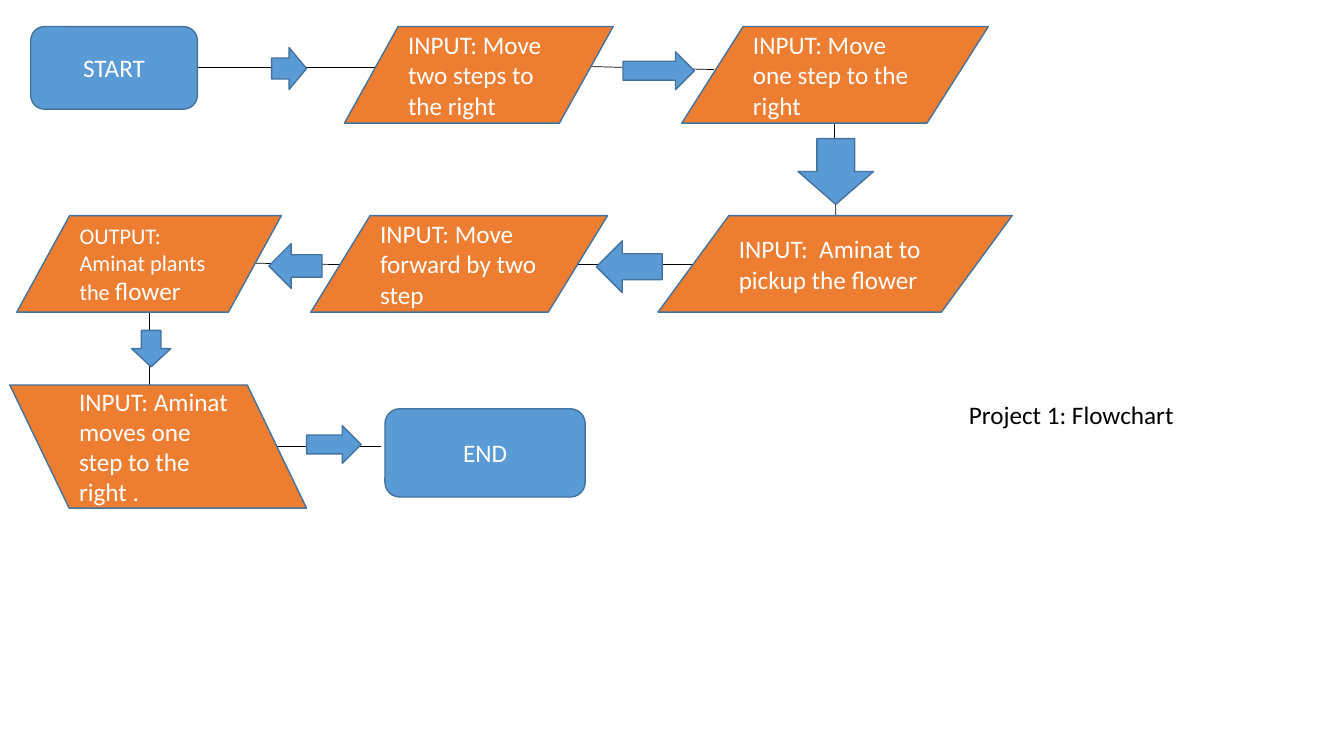
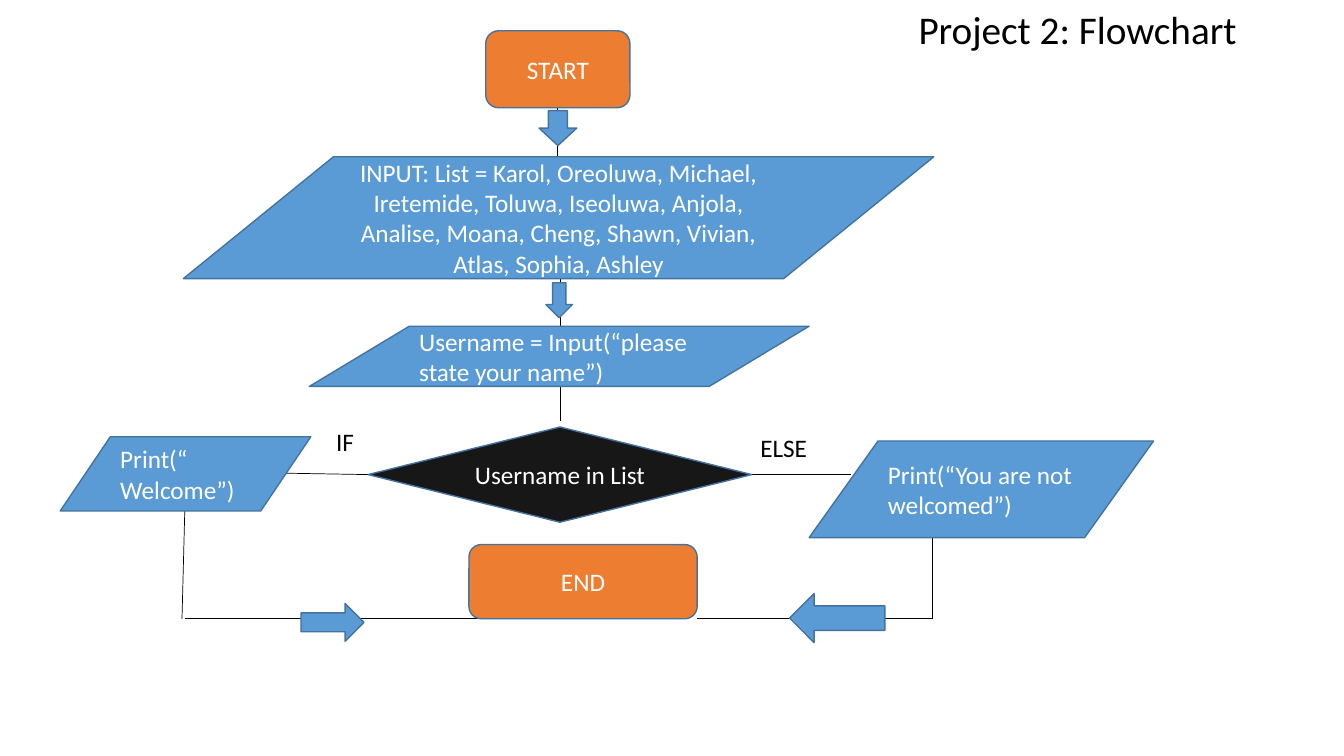
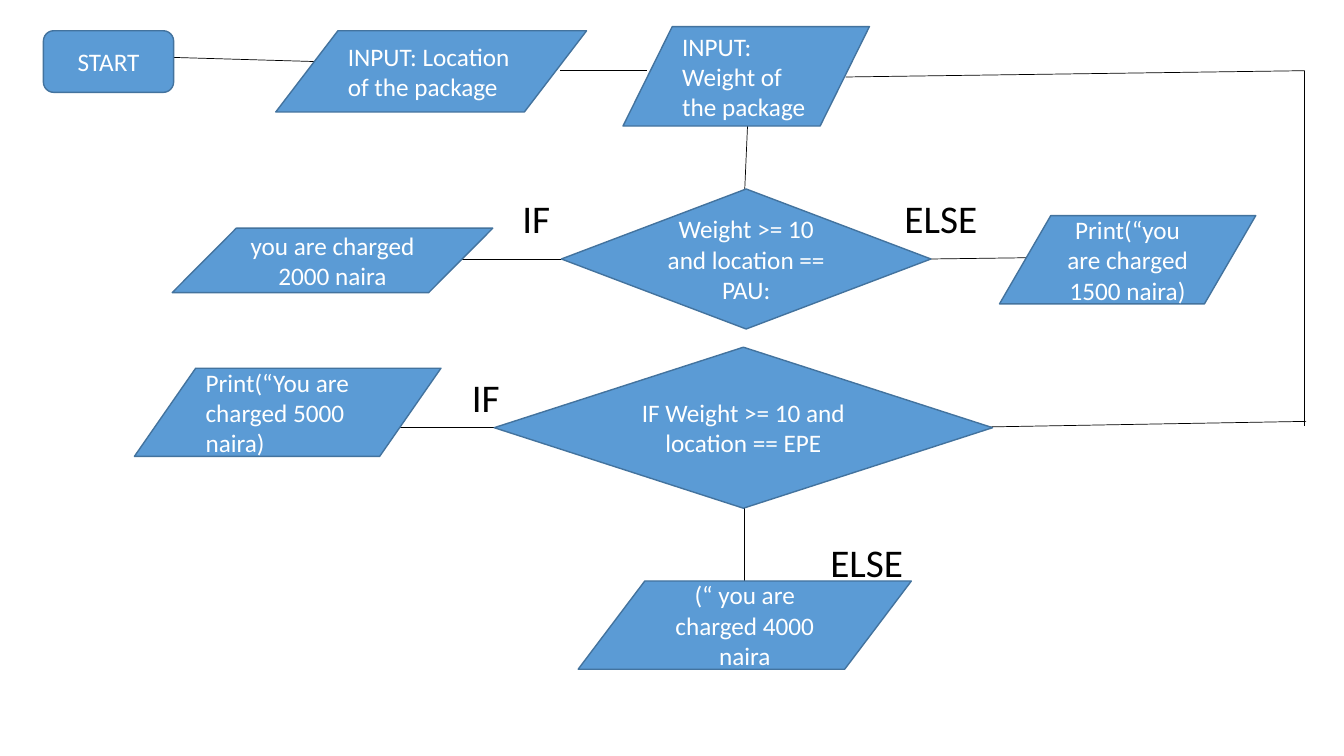
"""Build three flowchart slides from boxes, arrows, lines and labels."""
from dataclasses import dataclass

from lxml import etree
from pptx import Presentation
from pptx.dml.color import RGBColor
from pptx.enum.shapes import MSO_CONNECTOR, MSO_SHAPE
from pptx.enum.text import MSO_ANCHOR, PP_ALIGN
from pptx.oxml.ns import qn
from pptx.util import Pt

BLUE = RGBColor(0x5B, 0x9B, 0xD5)
ORANGE = RGBColor(0xED, 0x7D, 0x31)
DARK = RGBColor(0x18, 0x17, 0x17)
OUTLINE = RGBColor(0x43, 0x73, 0x9E)
WHITE = RGBColor(0xFF, 0xFF, 0xFF)
BLACK = RGBColor(0x00, 0x00, 0x00)

FONT = "Calibri"
BODY = 18
LARGE = 28

TERMINAL = MSO_SHAPE.ROUNDED_RECTANGLE
DATA = MSO_SHAPE.FLOWCHART_DATA
DECISION = MSO_SHAPE.DIAMOND
RIGHT = MSO_SHAPE.RIGHT_ARROW
LEFT = MSO_SHAPE.LEFT_ARROW
DOWN = MSO_SHAPE.DOWN_ARROW
STRAIGHT = MSO_CONNECTOR.STRAIGHT
MIDDLE = MSO_ANCHOR.MIDDLE
TOP = MSO_ANCHOR.TOP
CENTER = PP_ALIGN.CENTER
START = PP_ALIGN.LEFT

Frame = tuple[float, float, float, float]


@dataclass(frozen=True)
class Box:
    kind: MSO_SHAPE
    frame: Frame
    text: str
    fill: RGBColor = BLUE
    align: PP_ALIGN = START
    size: int = BODY
    ending: str = ""
    mirrored: bool = False


@dataclass(frozen=True)
class Arrow:
    kind: MSO_SHAPE
    frame: Frame


@dataclass(frozen=True)
class Label:
    frame: Frame
    text: str
    size: int = BODY


@dataclass(frozen=True)
class Chart:
    lines: list[Frame]
    boxes: list[Box]
    arrows: list[Arrow]
    labels: list[Label]


PLANTING = Chart(
    lines=[
        (141, 48, 272, 48),
        (419, 47.5, 510, 49.7),
        (596, 88, 597, 154),
        (495, 189, 412, 189),
        (243, 189, 181, 188),
        (107, 223, 107, 275),
        (198, 319, 272, 319),
    ],
    boxes=[
        Box(TERMINAL, (22, 19, 119, 59), "START", align=CENTER),
        Box(DATA, (246, 19, 192, 69), "INPUT: Move two steps to the right", ORANGE),
        Box(DATA, (487, 19, 219, 69), "INPUT: Move one step to the right", ORANGE),
        Box(DATA, (470, 154, 253, 69), "INPUT:  Aminat to pickup the flower", ORANGE),
        Box(DATA, (222, 154, 212, 69), "INPUT: Move forward by two step", ORANGE),
        Box(DATA, (12, 154, 189, 69), "OUTPUT: Aminat plants the ", ORANGE,
            size=16, ending="flower"),
        Box(DATA, (7, 275, 212, 88), "INPUT: Aminat moves one step to the right .",
            ORANGE, mirrored=True),
        Box(TERMINAL, (275, 292, 143, 63), "END", align=CENTER),
    ],
    arrows=[
        Arrow(RIGHT, (194, 34, 25, 30)),
        Arrow(RIGHT, (445, 37, 51, 27)),
        Arrow(DOWN, (570, 99, 54, 47)),
        Arrow(LEFT, (426, 172, 47, 37)),
        Arrow(LEFT, (192, 174, 38, 32)),
        Arrow(DOWN, (94, 236, 28, 26)),
        Arrow(RIGHT, (219, 304, 39, 27)),
    ],
    labels=[Label((685, 282, 254, 29), "Project 1: Flowchart")],
)

WELCOME = Chart(
    lines=[
        (398, 76, 398, 112),
        (400, 199, 400, 238),
        (400, 276, 400, 301),
        (263, 339, 203, 338),
        (536, 339, 608, 339),
        (132, 365, 130, 442),
        (666, 384, 666, 442),
        (132, 442, 347, 442),
        (666, 442, 498, 442),
    ],
    boxes=[
        Box(TERMINAL, (347, 22, 103, 55), "START", ORANGE, CENTER),
        Box(DATA, (131, 112, 536, 87),
            "INPUT: List = Karol, Oreoluwa, Michael, Iretemide, Toluwa, Iseoluwa, "
            "Anjola, Analise, Moana, Cheng, Shawn, Vivian, Atlas, Sophia, Ashley",
            align=CENTER),
        Box(DATA, (221, 233, 357, 43), "Username = Input(“please state your name”)"),
        Box(DECISION, (263, 305, 274, 68), "Username in List", DARK, CENTER),
        Box(DATA, (43, 312, 179, 53), "Print(“ Welcome”)"),
        Box(DATA, (578, 315, 246, 69), "Print(“You are not welcomed”)"),
        Box(TERMINAL, (335, 389, 163, 53), "END", ORANGE, CENTER),
    ],
    arrows=[
        Arrow(RIGHT, (215, 431, 45, 27)),
        Arrow(LEFT, (564, 424, 68, 35)),
        Arrow(DOWN, (385, 79, 27, 25)),
        Arrow(DOWN, (390, 202, 19, 25)),
    ],
    labels=[
        Label((233, 301, 30, 29), "IF"),
        Label((536, 305, 72, 29), "ELSE"),
        Label((649, 0, 300, 41), "Project 2: Flowchart", LARGE),
    ],
)

DELIVERY = Chart(
    lines=[
        (123, 41, 226, 44),
        (400, 50.5, 462, 50.5),
        (534, 89, 532, 135),
        (401, 185, 330, 185),
        (665, 185, 741, 184),
        (604, 55, 932, 50.5),
        (932, 50.5, 932, 304),
        (933, 301, 704, 305),
        (353, 305, 282, 305),
        (532, 415, 532, 363),
    ],
    boxes=[
        Box(TERMINAL, (31, 22, 93, 44), "START", align=CENTER),
        Box(DATA, (197, 22, 222, 58), "INPUT: Location of the package"),
        Box(DATA, (445, 19, 176, 71), "INPUT: Weight of the package"),
        Box(DECISION, (401, 135, 264, 100), "Weight >= 10 and location == PAU:",
            align=CENTER),
        Box(DATA, (123, 163, 229, 46), "you are charged 2000 naira", align=CENTER),
        Box(DATA, (714, 154, 183, 63), "Print(“you are charged 1500 naira)",
            align=CENTER),
        Box(DECISION, (353, 248, 356, 115), "IF Weight >= 10 and location == EPE",
            align=CENTER),
        Box(DATA, (413, 415, 238, 63), "(“ you are charged 4000 naira", align=CENTER),
        Box(DATA, (96, 263, 219, 63), "Print(“You are charged 5000 naira)"),
    ],
    arrows=[],
    labels=[
        Label((366, 135, 36, 41), "IF", LARGE),
        Label((639, 135, 102, 41), "ELSE", LARGE),
        Label((330, 263, 83, 41), "IF", LARGE),
        Label((586, 381, 154, 41), "ELSE", LARGE),
    ],
)


def style_span(span, size: int, color: RGBColor) -> None:
    span.font.name = FONT
    span.font.size = Pt(size)
    span.font.color.rgb = color


def write_text(shape, text: str, size: int, color: RGBColor, align, anchor):
    frame = shape.text_frame
    frame.word_wrap = True
    frame.vertical_anchor = anchor
    frame.text = text
    para = frame.paragraphs[0]
    para.alignment = align
    style_span(para.runs[0], size, color)
    return para


def draw_shape(page, kind: MSO_SHAPE, frame: Frame, fill: RGBColor):
    shape = page.shapes.add_shape(kind, *map(Pt, frame))
    shape.shadow.inherit = False
    shape.fill.solid()
    shape.fill.fore_color.rgb = fill
    shape.line.color.rgb = OUTLINE
    shape.line.width = Pt(1)
    return shape


def draw_line(page, ends: Frame) -> None:
    line = page.shapes.add_connector(STRAIGHT, *map(Pt, ends))
    line.line.color.rgb = BLACK
    line.line.width = Pt(0.5)
    etree.SubElement(line._element.spPr, qn("a:effectLst"))


def draw_box(page, box: Box) -> None:
    shape = draw_shape(page, box.kind, box.frame, box.fill)
    if box.mirrored:
        shape._element.spPr.xfrm.set("flipH", "1")
    para = write_text(shape, box.text, box.size, WHITE, box.align, MIDDLE)
    if box.ending:
        span = para.add_run()
        span.text = box.ending
        style_span(span, BODY, WHITE)


def draw_label(page, label: Label) -> None:
    shape = page.shapes.add_textbox(*map(Pt, label.frame))
    write_text(shape, label.text, label.size, BLACK, START, TOP)


def draw_chart(page, chart: Chart) -> None:
    for ends in chart.lines:
        draw_line(page, ends)
    for box in chart.boxes:
        draw_box(page, box)
    for arrow in chart.arrows:
        draw_shape(page, arrow.kind, arrow.frame, BLUE)
    for label in chart.labels:
        draw_label(page, label)


def main() -> None:
    deck = Presentation()
    deck.slide_width = Pt(960)
    deck.slide_height = Pt(540)
    blank = deck.slide_layouts[6]
    for chart in (PLANTING, WELCOME, DELIVERY):
        draw_chart(deck.slides.add_slide(blank), chart)
    deck.save("out.pptx")


if __name__ == "__main__":
    main()
